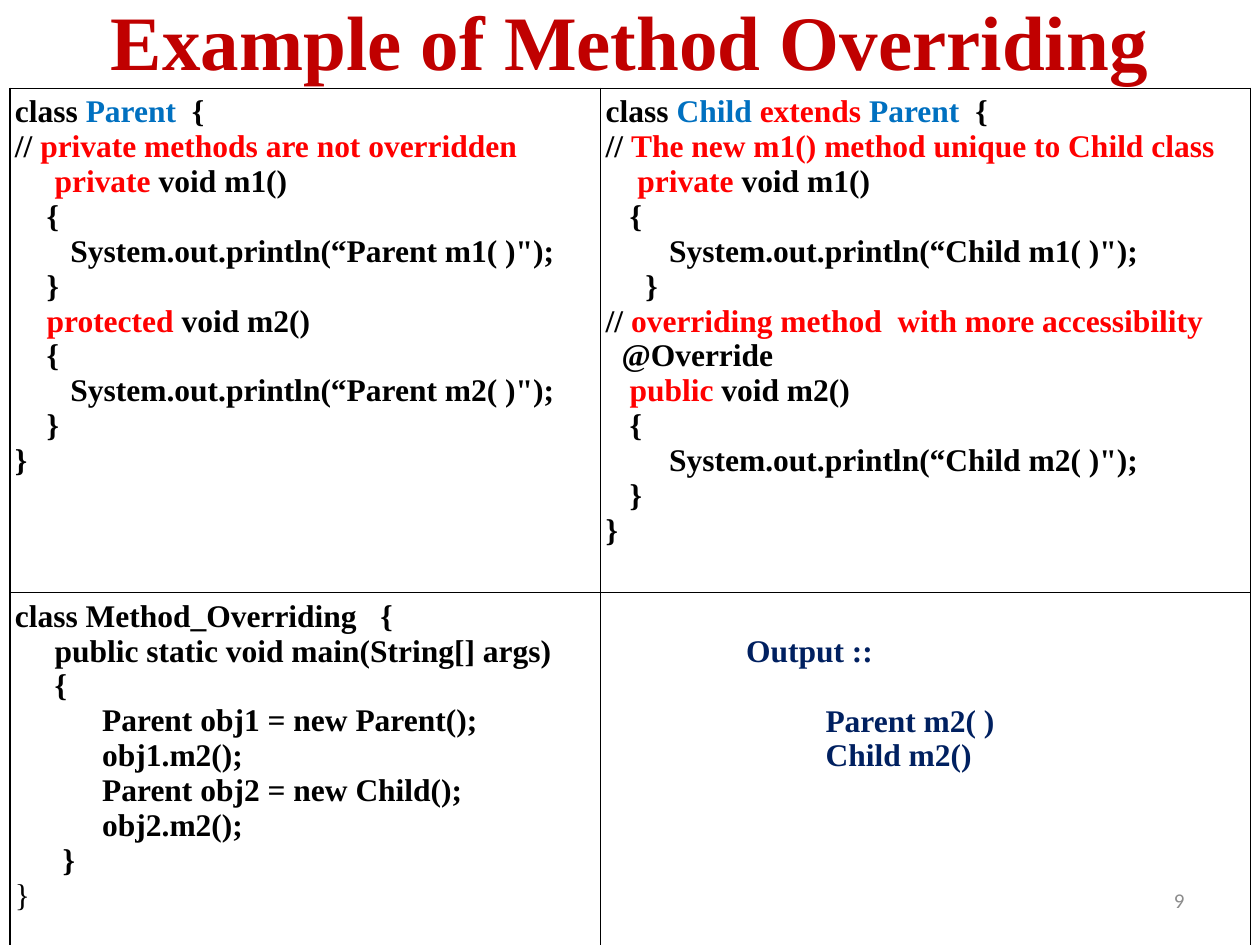
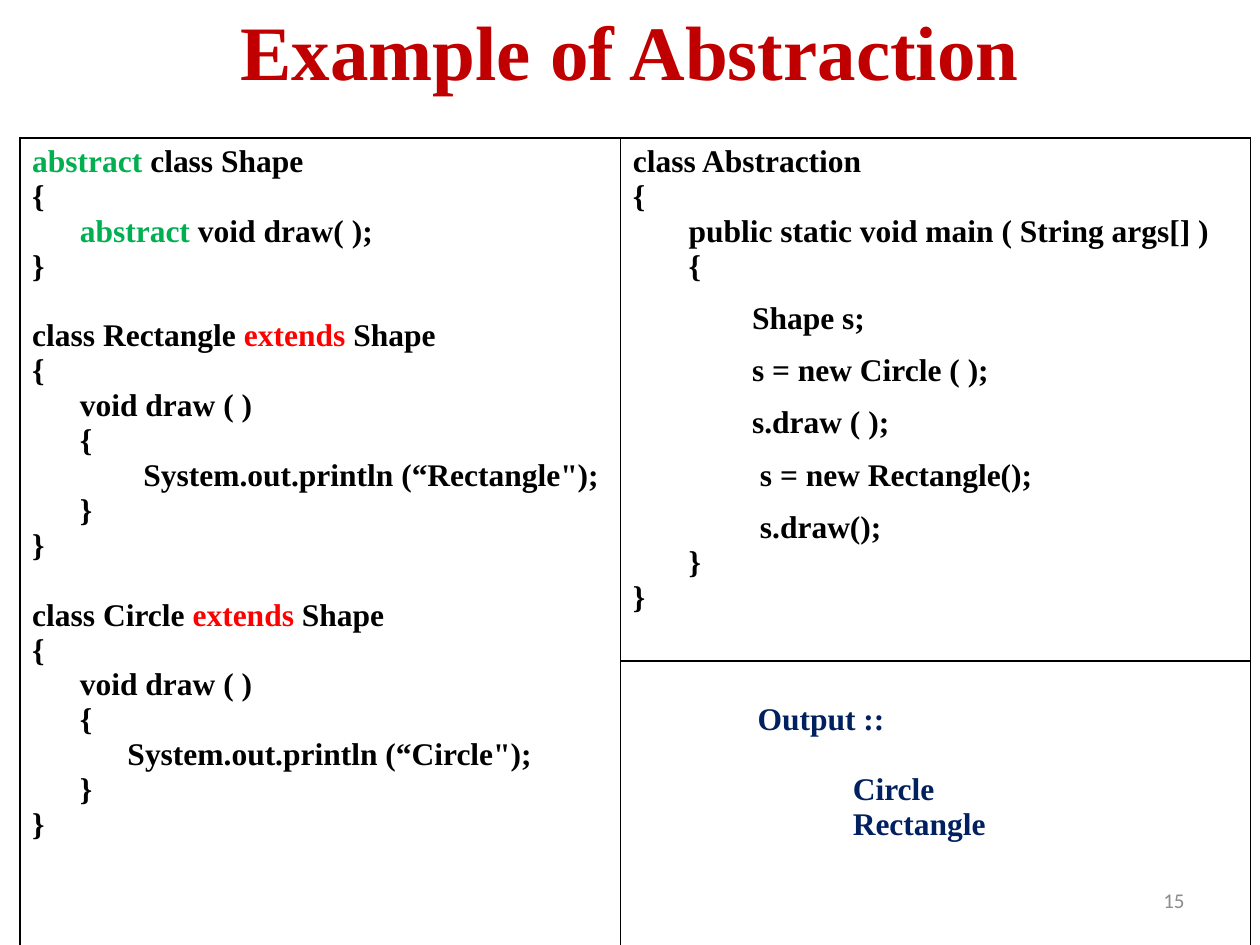
from lxml.etree import SubElement
from pptx import Presentation
from pptx.dml.color import RGBColor
from pptx.enum.text import MSO_ANCHOR, PP_ALIGN
from pptx.oxml.ns import qn
from pptx.util import Cm, Pt

CODE_FONT = "Times New Roman"
BLACK, RED, NAVY = "000000", "FF0000", "002060"
HIGHLIGHTS = {"Parent": "0070C0", "Child": "0070C0", "abstract": "00B050"}
SPACE_WIDTH = Cm(0.16)
BLANK_LINE = Pt(20)
AFTER_GAP = {"space_before": BLANK_LINE}
LOOSE = {"line_spacing": 1.5}

PARENT_CLASS = [
    (0, "class |Parent|  {"),
    (0, "// |private methods are not overridden"),
    (5, "|private| void m1()"),
    (4, "{"),
    (7, "System.out.println(“Parent m1( )\");"),
    (4, "}"),
    (4, "|protected| void m2()"),
    (4, "{"),
    (7, "System.out.println(“Parent m2( )\");"),
    (4, "}"),
    (0, "}"),
]
CHILD_CLASS = [
    (0, "class |Child| |extends| |Parent|  {"),
    (0, "// |The new m1() method unique to Child class"),
    (4, "|private| void m1()"),
    (3, "{"),
    (8, "System.out.println(“Child m1( )\");"),
    (5, "}"),
    (0, "// |overriding method  with more accessibility"),
    (2, "@Override"),
    (3, "|public| void m2()"),
    (3, "{"),
    (8, "System.out.println(“Child m2( )\");"),
    (3, "}"),
    (0, "}"),
]
OVERRIDING_MAIN = [
    (0, "class Method_Overriding   {"),
    (5, "public static void main(String[] args)"),
    (5, "{"),
    (11, "Parent obj1 = new Parent();"),
    (11, "obj1.m2();"),
    (11, "Parent obj2 = new Child();"),
    (11, "obj2.m2();"),
    (6, "}"),
    (0, "}", {}, {"bold": False}),
]
OVERRIDING_OUTPUT = [
    (17.7, "Output ::"),
    (27.7, "Parent m2( )", AFTER_GAP),
    (27.7, "Child m2()"),
]
SHAPE_CLASSES = [
    (0, "|abstract| class Shape"),
    (0, "{"),
    (6, "|abstract| void draw( );"),
    (0, "}"),
    (0, "class Rectangle |extends| Shape", AFTER_GAP),
    (0, "{"),
    (6, "void draw ( )"),
    (6, "{"),
    (14, "System.out.println (“Rectangle\");"),
    (6, "}"),
    (0, "}"),
    (0, "class Circle |extends| Shape", AFTER_GAP),
    (0, "{"),
    (6, "void draw ( )"),
    (6, "{"),
    (12, "System.out.println (“Circle\");"),
    (6, "}"),
    (0, "}"),
]
ABSTRACTION_MAIN = [
    (0, "class Abstraction"),
    (0, "{"),
    (7, "public static void main ( String args[] )"),
    (7, "{"),
    (15, "Shape s;", LOOSE),
    (15, "s = new Circle ( );", LOOSE),
    (15, "s.draw ( );", LOOSE),
    (16, "s = new Rectangle();", LOOSE),
    (16, "s.draw();", LOOSE),
    (7, "}"),
    (0, "}"),
]
ABSTRACTION_OUTPUT = [
    (15.7, "Output ::"),
    (27.7, "Circle", AFTER_GAP),
    (27.7, "Rectangle"),
]


def colour(value):
    return RGBColor.from_string(value)


def apply(target, formats):
    for name, value in formats.items():
        setattr(target, name, value)


class Deck:
    title_style = {"name": CODE_FONT, "size": Pt(44), "bold": True}
    code_style = {"name": CODE_FONT, "size": Pt(18), "bold": True}
    number_style = {"name": "Calibri", "size": Pt(12), "bold": False}

    def __init__(self):
        self.presentation = Presentation()
        apply(self.presentation, {"slide_width": Cm(25.4), "slide_height": Cm(19.05)})
        self.slide = None

    def start(self, title, title_top, number):
        self.slide = self.presentation.slides.add_slide(self.presentation.slide_layouts[6])
        self.label(title, (0, title_top, 25.4, 3.18), self.title_style, "C00000", PP_ALIGN.CENTER)
        self.label(number, (18.2, 17.65, 5.93, 1.01), self.number_style, "8C8C8C", PP_ALIGN.RIGHT)

    def run(self, paragraph, words, style, shade):
        run = paragraph.add_run()
        run.text = words
        apply(run.font, style)
        run.font.color.rgb = colour(shade)

    def label(self, words, place, style, shade, alignment):
        frame = self.slide.shapes.add_textbox(*map(Cm, place)).text_frame
        apply(frame, {"word_wrap": True, "vertical_anchor": MSO_ANCHOR.MIDDLE})
        paragraph = frame.paragraphs[0]
        paragraph.alignment = alignment
        self.run(paragraph, words, style, shade)

    def table(self, left, top, widths, heights, inset):
        grid = self.slide.shapes.add_table(
            len(heights), len(widths), Cm(left), Cm(top), Cm(sum(widths)), Cm(sum(heights))
        ).table
        apply(grid, {"first_row": False, "horz_banding": False})
        for column, width in zip(grid.columns, widths):
            column.width = Cm(width)
        for row, height in zip(grid.rows, heights):
            row.height = Cm(height)
        margins = {"margin_left": Cm(inset), "margin_right": Cm(inset),
                   "margin_top": Cm(0.13), "margin_bottom": Cm(0.13)}
        for cell in grid.iter_cells():
            apply(cell, margins)
            self.border(cell)
            cell.fill.background()
        return grid

    def border(self, cell):
        properties = cell._tc.get_or_add_tcPr()
        for side in ("a:lnL", "a:lnR", "a:lnT", "a:lnB"):
            line = SubElement(properties, qn(side), w=str(Pt(1)))
            fill = SubElement(line, qn("a:solidFill"))
            SubElement(fill, qn("a:srgbClr"), val=BLACK)

    def code(self, cell, lines, shade=BLACK):
        frame = cell.text_frame
        for index, (indent, words, *formats) in enumerate(lines):
            spacing, font = (formats + [{}, {}])[:2]
            paragraph = frame.add_paragraph() if index else frame.paragraphs[0]
            apply(paragraph, spacing)
            properties = paragraph._p.get_or_add_pPr()
            properties.set("marL", str(round(indent * SPACE_WIDTH)))
            properties.set("indent", "0")
            for position, part in enumerate(words.split("|")):
                if part:
                    part_shade = HIGHLIGHTS.get(part, RED) if position % 2 else shade
                    self.run(paragraph, part, self.code_style | font, part_shade)

    def output(self, cell, lines):
        cell.margin_top += BLANK_LINE
        self.code(cell, lines, NAVY)


def main():
    deck = Deck()

    deck.start("Example of Method Overriding", -0.79, "9")
    overriding = deck.table(0.2, 1.78, (11.91, 13.1), (9.4, 6.58), 0.1)
    deck.code(overriding.cell(0, 0), PARENT_CLASS)
    deck.code(overriding.cell(0, 1), CHILD_CLASS)
    deck.code(overriding.cell(1, 0), OVERRIDING_MAIN)
    deck.output(overriding.cell(1, 1), OVERRIDING_OUTPUT)

    deck.start("Example of Abstraction", -0.58, "15")
    abstraction = deck.table(0.4, 2.78, (12.11, 12.7), (10.44, 8.6), 0.25)
    abstraction.cell(0, 0).merge(abstraction.cell(1, 0))
    deck.code(abstraction.cell(0, 0), SHAPE_CLASSES)
    deck.code(abstraction.cell(0, 1), ABSTRACTION_MAIN)
    deck.output(abstraction.cell(1, 1), ABSTRACTION_OUTPUT)

    deck.presentation.save("out.pptx")


if __name__ == "__main__":
    main()
